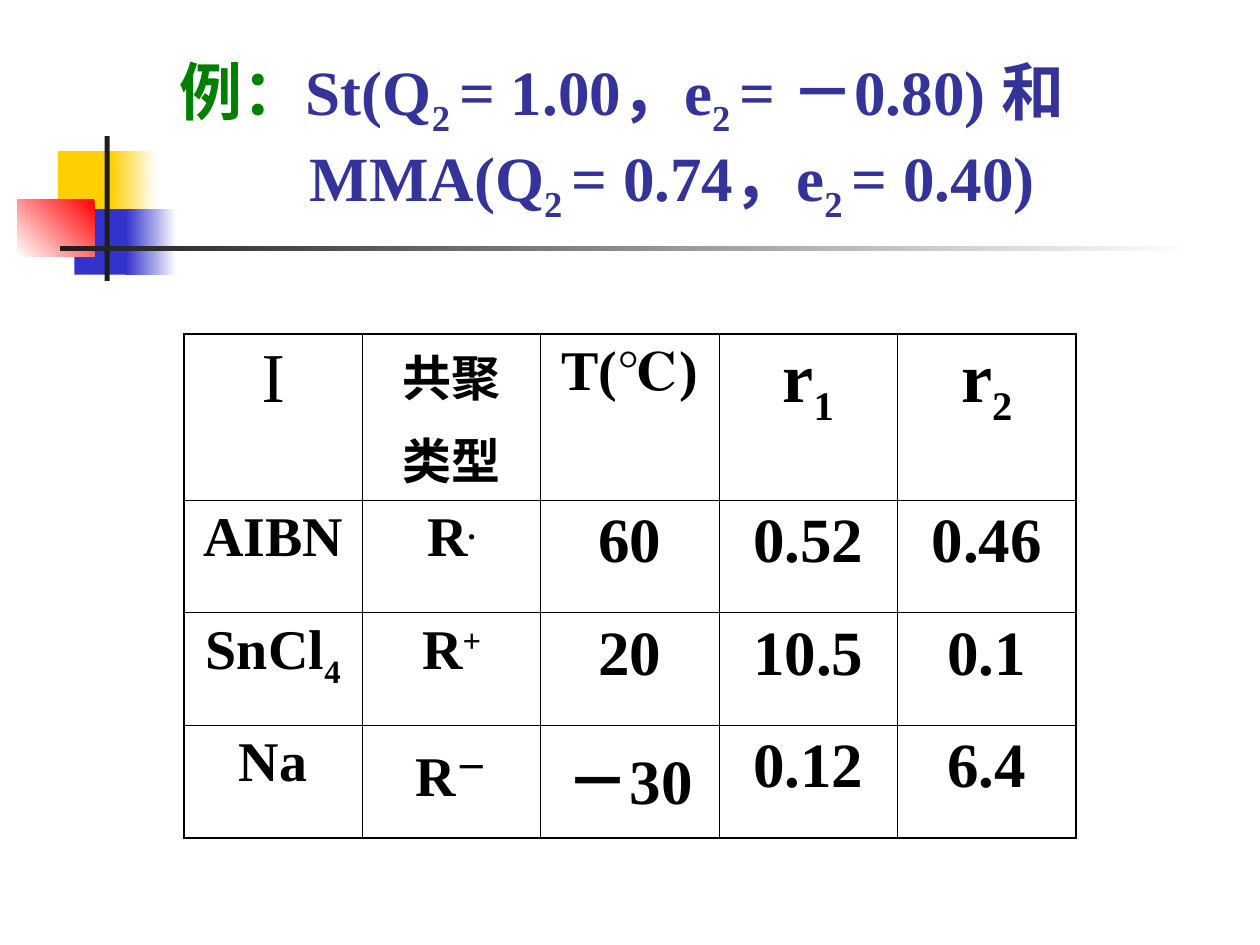
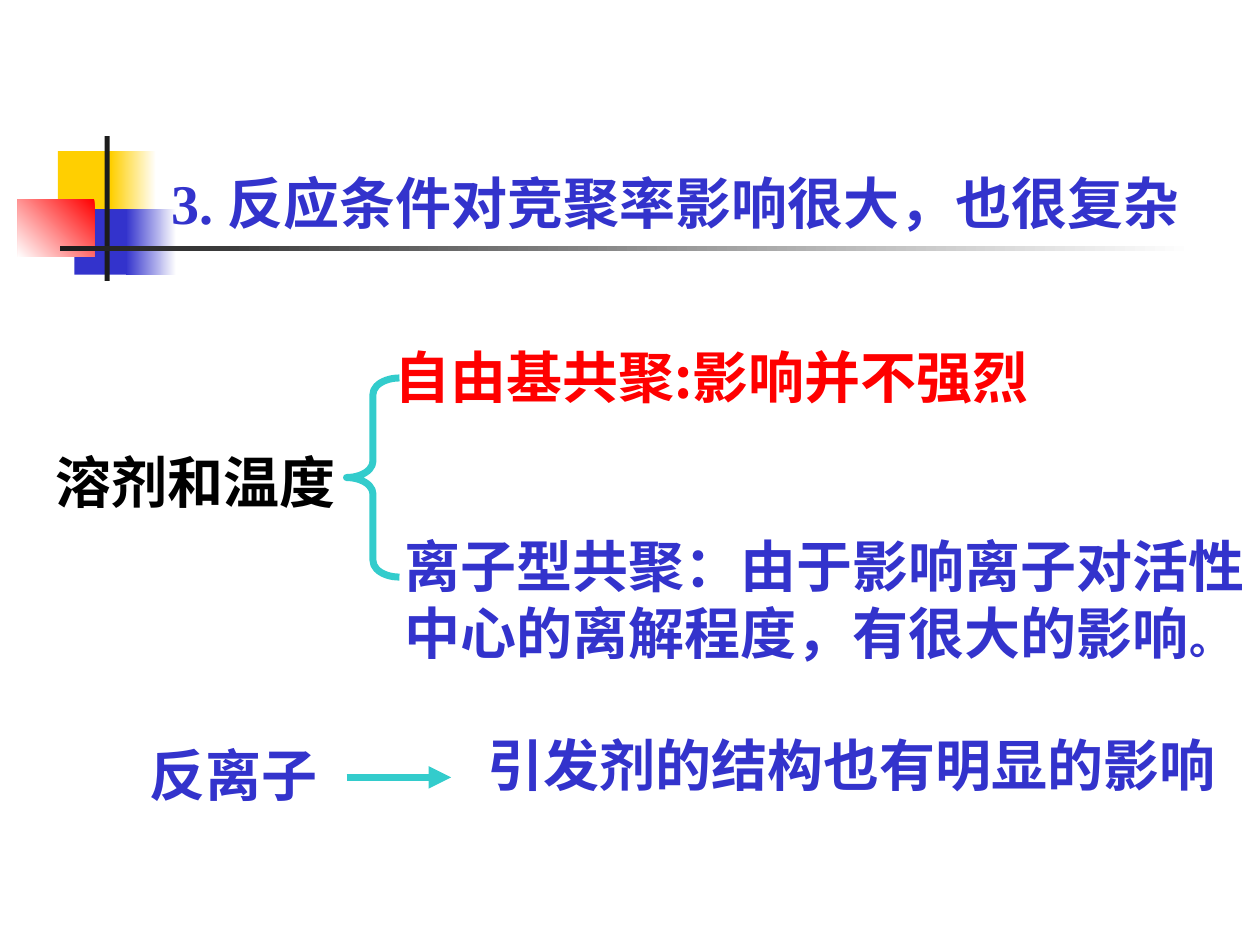
import pptx
import pptx.util
import pptx.dml.color
import pptx.enum.dml
import pptx.enum.shapes
import pptx.enum.text
import pptx.oxml
import pptx.oxml.ns
import lxml.etree

Inches, Pt = pptx.util.Inches, pptx.util.Pt
SHAPE = pptx.enum.shapes.MSO_SHAPE
qn = pptx.oxml.ns.qn

# Shared look
HUES = {"gold": "FFCF01", "blue": "3333CC", "red": "FF0000", "white": "FFFFFF",
        "dark": "1C1C1C", "green": "008000", "navy": "333399",
        "black": "000000", "teal": "33CCCC"}
SERIF, SANS, PLAIN = "Times New Roman", "Noto Sans CJK SC", "Roboto"
SUB, SUP = {"base": -25}, {"base": 30}

# Corner motif: left, top, width, height, colours, clockwise angle
MOTIF = [
    (0.46, 1.2, 0.48, 0.52, ["gold"], 0),
    (0.88, 1.2, 0.36, 0.52, ["white", "gold"], 180),
    (0.59, 1.66, 0.46, 0.52, ["blue"], 0),
    (1, 1.66, 0.4, 0.52, ["white", "blue"], 180),
    (0.14, 1.58, 0.61, 0.46, ["red", "white"], 135),
    (0.83, 1.08, 0.04, 1.15, ["dark"], 0),
    (0.48, 1.95, 9, 0.04, ["white", "dark"], 180),
]

# Slide 1: a paragraph is a list of (text, format) runs
PAIR = [
    [("例：", {"hue": "green"}), ("St(Q", {}), ("2 ", SUB), ("= 1.00，e", {}),
     ("2 ", SUB), ("= －0.80) 和", {})],
    [("MMA(Q", {}), ("2 ", SUB), ("= 0.74，e", {}), ("2 ", SUB), ("= 0.40)", {})],
]
ROWS = [
    [[[("I", {"bold": False})]], ["共聚", "类型"], ["T(℃)"],
     [[("r", {}), ("1", SUB)]], [[("r", {}), ("2", SUB)]]],
    [["AIBN"], [[("R", {}), (".", SUP)]], ["60"], ["0.52"], ["0.46"]],
    [[[("SnCl", {}), ("4", SUB)]], [[("R", {}), ("+", SUP)]], ["20"], ["10.5"], ["0.1"]],
    [["Na"], [[("R", {}), ("－", SUP)]], ["－30"], ["0.12"], ["6.4"]],
]
HEAD_SIZE = [40, 28, 32, 40, 40]
BODY_SIZE = [32, 32, 36, 36, 36]
GRID = (1.46, 2.65, 7.08, 4)
HEAD = 1.32

# Slide 2
POINT = ["3. 反应条件对竞聚率影响很大，也很复杂"]
NOTES = [
    (0.34, 3.5, 2.42, 0.64, "black", ["溶剂和温度"]),
    (3.03, 2.67, 5.45, 0.64, "red", ["自由基共聚:影响并不强烈"]),
    (3.11, 4.17, 6.87, 1.17, "blue",
     ["离子型共聚：由于影响离子对活性",
      [("中心的离解程度，有很大的影响", {}), ("。", {"size": 24})]]),
    (1.09, 5.83, 1.53, 0.64, "blue", ["反离子"]),
    (3.77, 5.75, 5.98, 0.64, "blue", ["引发剂的结构也有明显的影响"]),
]


def tint(name):
    return pptx.dml.color.RGBColor.from_string(HUES[name])


def write(frame, paras, size=32, font=SERIF, hue="black", bold=True,
          align="LEFT", gap=0, indent=0):
    """Fill a text frame; gap and indent apply from the second paragraph on."""
    for i, runs in enumerate(paras):
        para = frame.add_paragraph() if i else frame.paragraphs[0]
        para.alignment = getattr(pptx.enum.text.PP_ALIGN, align)
        if i and gap:
            para.space_before = Pt(gap)
        if i and indent:
            para._p.get_or_add_pPr().set("marL", str(Inches(indent)))
        for text, form in [(runs, {})] if isinstance(runs, str) else runs:
            run = para.add_run()
            run.text = text
            run.font.size = Pt(form.get("size", size))
            run.font.name = font
            run.font.bold = form.get("bold", bold)
            run.font.color.rgb = tint(form.get("hue", hue))
            props = run._r.get_or_add_rPr()
            if "base" in form:
                props.set("baseline", str(form["base"] * 1000))
            if any(mark > "\u2fff" for mark in text):
                face = lxml.etree.Element(qn("a:ea"), typeface=SANS)
                props.find(qn("a:latin")).addnext(face)


def box(slide, at, paras, title=False, **form):
    frame = slide.shapes.add_textbox(*map(Inches, at)).text_frame
    frame.word_wrap = True
    if title:
        frame.vertical_anchor = pptx.enum.text.MSO_ANCHOR.BOTTOM
    else:
        # The free right margin keeps each label on its own line
        frame.margin_right = 0
    write(frame, paras, **form)


def start(deck):
    """Add a blank slide with the corner motif."""
    slide = deck.slides.add_slide(deck.slide_layouts[6])
    for *at, hues, angle in MOTIF:
        part = slide.shapes.add_shape(SHAPE.RECTANGLE, *map(Inches, at))
        part.shadow.inherit = False
        part.line.fill.background()
        if len(hues) == 1:
            part.fill.solid()
            part.fill.fore_color.rgb = tint(hues[0])
        else:
            part.fill.gradient()
            part.fill.gradient_angle = 360 - angle
            for stop, hue, place in zip(part.fill.gradient_stops, hues, (0, 1)):
                stop.color.rgb = tint(hue)
                stop.position = place
    return slide


def edge(cell, side, width):
    line = lxml.etree.SubElement(cell._tc.get_or_add_tcPr(), qn("a:ln" + side),
                                 w=str(Pt(width)))
    fill = lxml.etree.SubElement(line, qn("a:solidFill"))
    lxml.etree.SubElement(fill, qn("a:srgbClr"), val=HUES["black"])


def grid(slide):
    """Draw the table with a heavier outer frame."""
    count, wide = len(ROWS), len(ROWS[0])
    table = slide.shapes.add_table(count, wide, *map(Inches, GRID)).table
    table.first_row = table.horz_banding = False
    for col in table.columns:
        col.width = Inches(GRID[2] / wide)
    for r, row in enumerate(ROWS):
        table.rows[r].height = Inches((GRID[3] - HEAD) / (count - 1) if r else HEAD)
        for c, paras in enumerate(row):
            cell = table.cell(r, c)
            outer = {"L": c == 0, "R": c == wide - 1, "T": r == 0, "B": r == count - 1}
            for side, thick in outer.items():
                edge(cell, side, 1.08 if thick else 0.45)
            cell.fill.background()
            write(cell.text_frame, paras, align="CENTER", gap=7,
                  size=(BODY_SIZE if r else HEAD_SIZE)[c],
                  font=PLAIN if (r, c) == (0, 1) else SERIF)


def links(slide):
    """Draw the brace and the arrow."""
    brace = slide.shapes.add_shape(SHAPE.LEFT_BRACE, Inches(2.75), Inches(3),
                                   Inches(0.42), Inches(1.58))
    brace.adjustments[0] = 0.31
    brace.shadow.inherit = False
    brace.fill.background()
    arrow = slide.shapes.add_connector(pptx.enum.shapes.MSO_CONNECTOR.STRAIGHT,
                                       Inches(2.75), Inches(6.17),
                                       Inches(3.58), Inches(6.17))
    for item, width in ((brace, 4), (arrow, 4.25)):
        item.line.color.rgb = tint("teal")
        item.line.width = Pt(width)
    lxml.etree.SubElement(arrow.line._get_or_add_ln(), qn("a:tailEnd"), type="triangle")
    lxml.etree.SubElement(arrow._element.spPr, qn("a:effectLst"))


def main():
    deck = pptx.Presentation()
    deck.slide_width, deck.slide_height = Inches(10), Inches(7.5)

    # Slide 1: example and table
    slide = start(deck)
    box(slide, (1.33, 0.58, 8.52, 1.25), PAIR, title=True, size=36,
        hue="navy", indent=1.03)
    grid(slide)

    # Slide 2: effect of conditions
    slide = start(deck)
    box(slide, (1.26, 0.67, 8.52, 1.25), POINT, title=True, hue="blue")
    links(slide)
    for *at, hue, paras in NOTES:
        box(slide, at, paras, font=SANS, hue=hue)

    deck.save("out.pptx")


if __name__ == "__main__":
    main()
